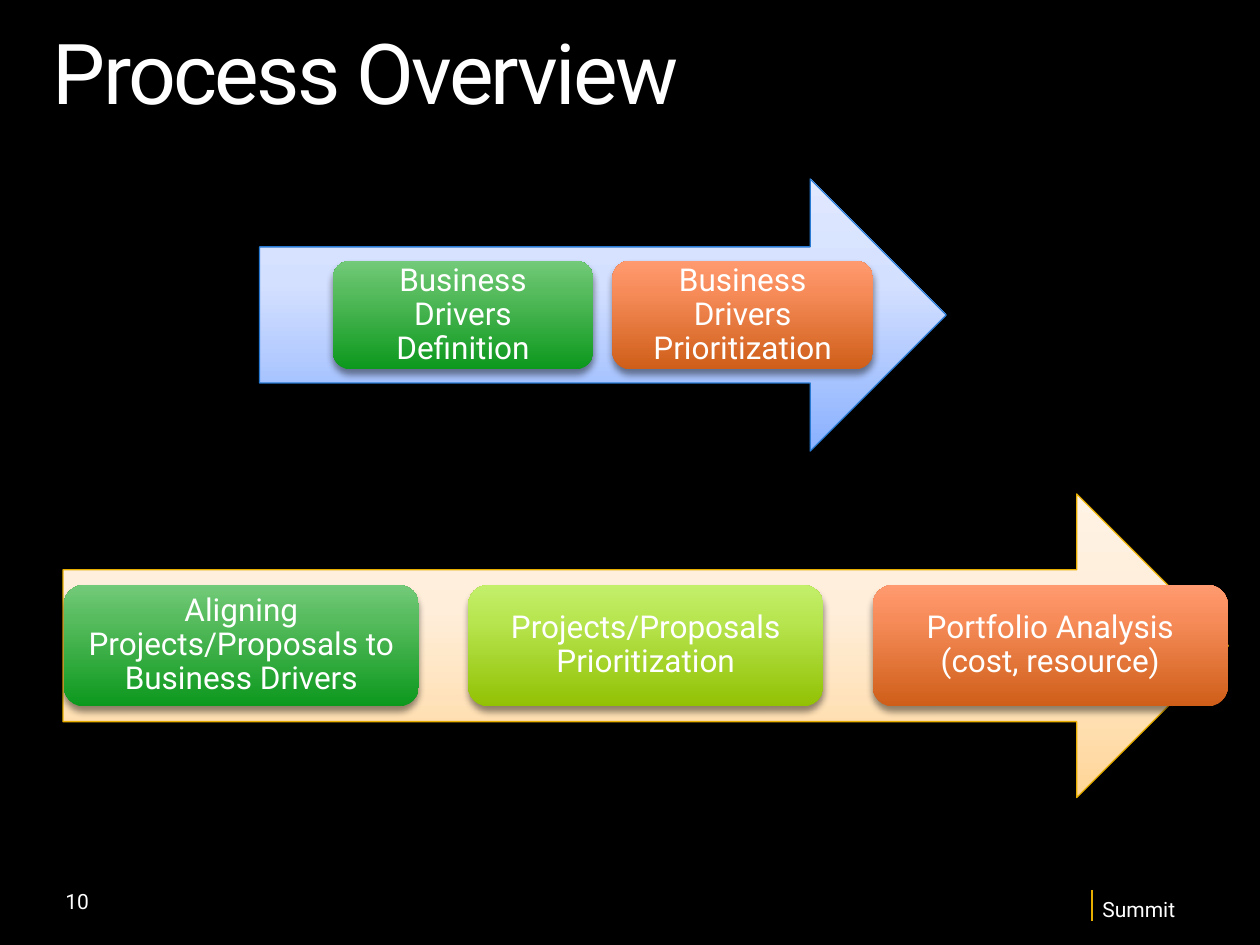
from lxml import etree
from pptx import Presentation
from pptx.dml.color import RGBColor
from pptx.enum import shapes, text
from pptx.oxml import ns
from pptx.util import Inches, Pt

FONT = "Roboto"
WHITE = "FFFFFF"
GOLD = "E7AE00"
GREEN = [(0, "0C981D"), (72, "57BC5E"), (100, "73CA79")]
LIME = [(0, "92C104"), (72, "B8E651"), (100, "C3EF6B")]
ORANGE = [(0, "CE5E18"), (72, "F78C5A"), (100, "FF9A70")]
BLUE_TINT = [(0, "89B0FF"), (62, "D4E0FF"), (100, "E0E9FF")]
GOLD_TINT = [(0, "FFD597"), (62, "FFEEDA"), (100, "FFF3E5")]


def rgb(value):
    return RGBColor.from_string(value)


def sub(parent, tag, **attrs):
    return etree.SubElement(parent, ns.qn(tag), attrs)


def fill_gradient(sp, stops):
    """Run the stops from the bottom of the shape to its top."""
    sp.fill.gradient()
    sp.fill.gradient_angle = 90
    gs_list = sp._element.spPr.find(".//" + ns.qn("a:gsLst"))
    for gs in list(gs_list):
        gs_list.remove(gs)
    for percent, color in stops:
        gs = sub(gs_list, "a:gs", pos=str(percent * 1000))
        sub(gs, "a:srgbClr", val=color)


def drop_shadow(sp):
    sp.shadow.inherit = False
    effects = sp._element.spPr.find(ns.qn("a:effectLst"))
    shadow = sub(effects, "a:outerShdw", blurRad=str(Pt(4)), dist=str(Pt(3)),
                 dir="5400000", rotWithShape="0")
    sub(sub(shadow, "a:srgbClr", val="000000"), "a:alpha", val="43000")


def write(sp, content, size, inset=(0, 0), align=None, anchor=None, spacing=None):
    tf = sp.text_frame
    tf.word_wrap = True
    tf.margin_left = tf.margin_right = Inches(inset[0])
    tf.margin_top = tf.margin_bottom = Inches(inset[1])
    tf.vertical_anchor = anchor or text.MSO_ANCHOR.TOP
    p = tf.paragraphs[0]
    p.alignment = align or text.PP_ALIGN.LEFT
    p.line_spacing = spacing
    r = p.add_run()
    r.text = content
    r.font.name, r.font.size = FONT, Pt(size)
    r.font.color.rgb = rgb(WHITE)
    return r


def add_text(s, box, content, size, **layout):
    return write(s.shapes.add_textbox(*map(Inches, box)), content, size, **layout)


def add_gradient_shape(s, kind, box, stops):
    sp = s.shapes.add_shape(kind, *map(Inches, box))
    fill_gradient(sp, stops)
    sp.line.fill.background()
    drop_shadow(sp)
    return sp


def add_title(s, box):
    r = add_text(s, box, "Process Overview", 48, spacing=0.9)
    r._r.get_or_add_rPr().set("spc", "-150")


def add_process(s, box, tint, outline, steps, card_width, gap):
    """Draw an arrow with a row of step cards centred on it."""
    left, top, width, height = box
    arrow = add_gradient_shape(s, shapes.MSO_SHAPE.RIGHT_ARROW, box, tint)
    arrow.line.color.rgb = rgb(outline)
    arrow.line.width = Pt(0.75)

    card_height = 0.4 * height
    row_width = len(steps) * (card_width + gap) - gap
    x = left + (width - row_width) / 2
    y = top + (height - card_height) / 2
    for label, stops in steps:
        card = add_gradient_shape(s, shapes.MSO_SHAPE.ROUNDED_RECTANGLE,
                                  (x, y, card_width, card_height), stops)
        write(card, label, 18, inset=(0.1, 0.07), spacing=0.9,
              align=text.PP_ALIGN.CENTER, anchor=text.MSO_ANCHOR.MIDDLE)
        x += card_width + gap


def add_footer(s, box):
    left, top, width, height = box
    add_text(s, (left, top, 2.33, height), "10", 12, inset=(0.1, 0.05),
             anchor=text.MSO_ANCHOR.MIDDLE)
    x = left + width - 0.92
    rule = s.shapes.add_connector(
        shapes.MSO_CONNECTOR.STRAIGHT,
        *map(Inches, (x, top + 0.11, x, top + 0.36)))
    rule.line.color.rgb = rgb(GOLD)
    rule.line.width = Pt(1.25)
    sub(rule._element.spPr, "a:effectLst")
    add_text(s, (x + 0.08, top + 0.19, 0.83, 0.18), "Summit", 12, spacing=0.9)


def main():
    prs = Presentation()
    prs.slide_width, prs.slide_height = Inches(10), Inches(7.5)
    s = prs.slides.add_slide(prs.slide_layouts[6])
    s.background.fill.solid()
    s.background.fill.fore_color.rgb = rgb("000000")

    add_title(s, (0.42, 0.25, 9.17, 0.73))
    add_process(s, (2.06, 1.42, 5.45, 2.16), BLUE_TINT, "297AD2", [
        ("Business Drivers Definition", GREEN),
        ("Business Drivers Prioritization", ORANGE),
    ], card_width=2.07, gap=0.15)
    add_process(s, (0.5, 3.92, 9.25, 2.41), GOLD_TINT, GOLD, [
        ("Aligning Projects/Proposals to Business Drivers", GREEN),
        ("Projects/Proposals Prioritization", LIME),
        ("Portfolio Analysis (cost, resource)", ORANGE),
    ], card_width=2.82, gap=0.39)
    add_footer(s, (0.42, 6.95, 9.17, 0.4))
    prs.save("out.pptx")


if __name__ == "__main__":
    main()
